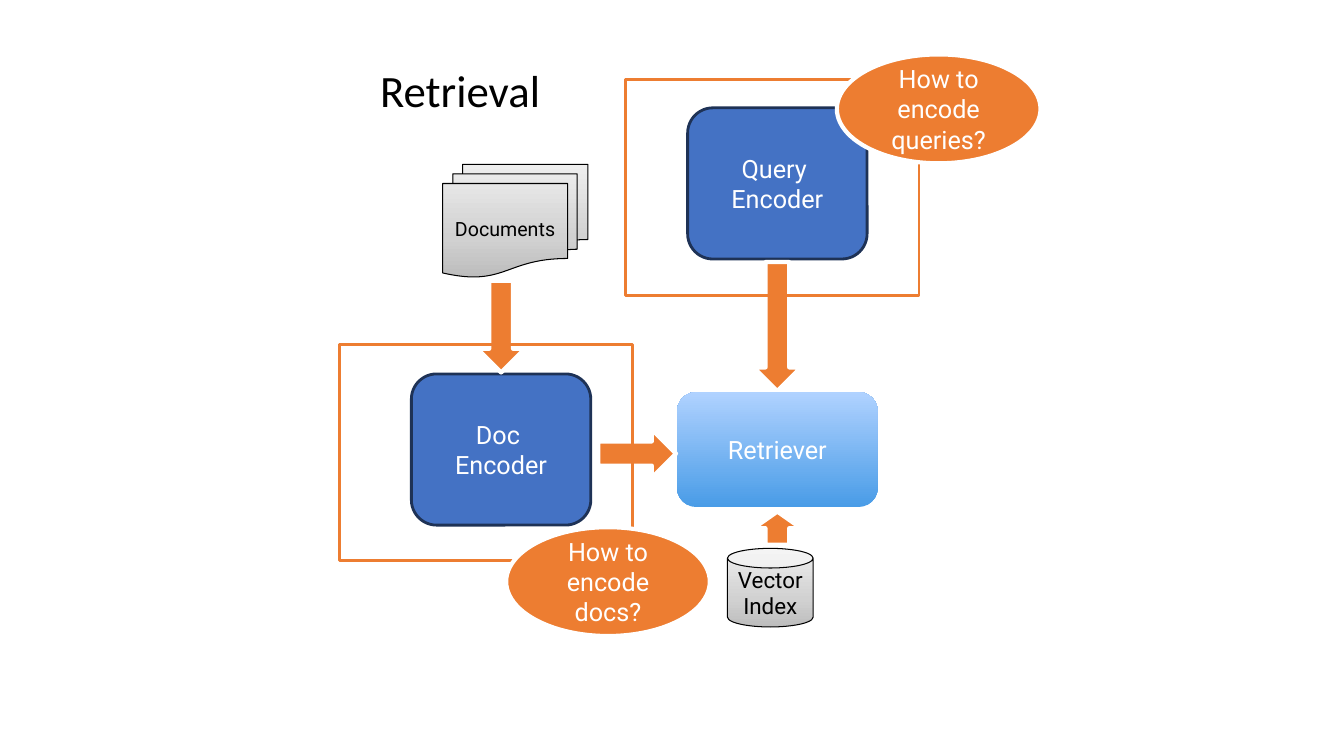
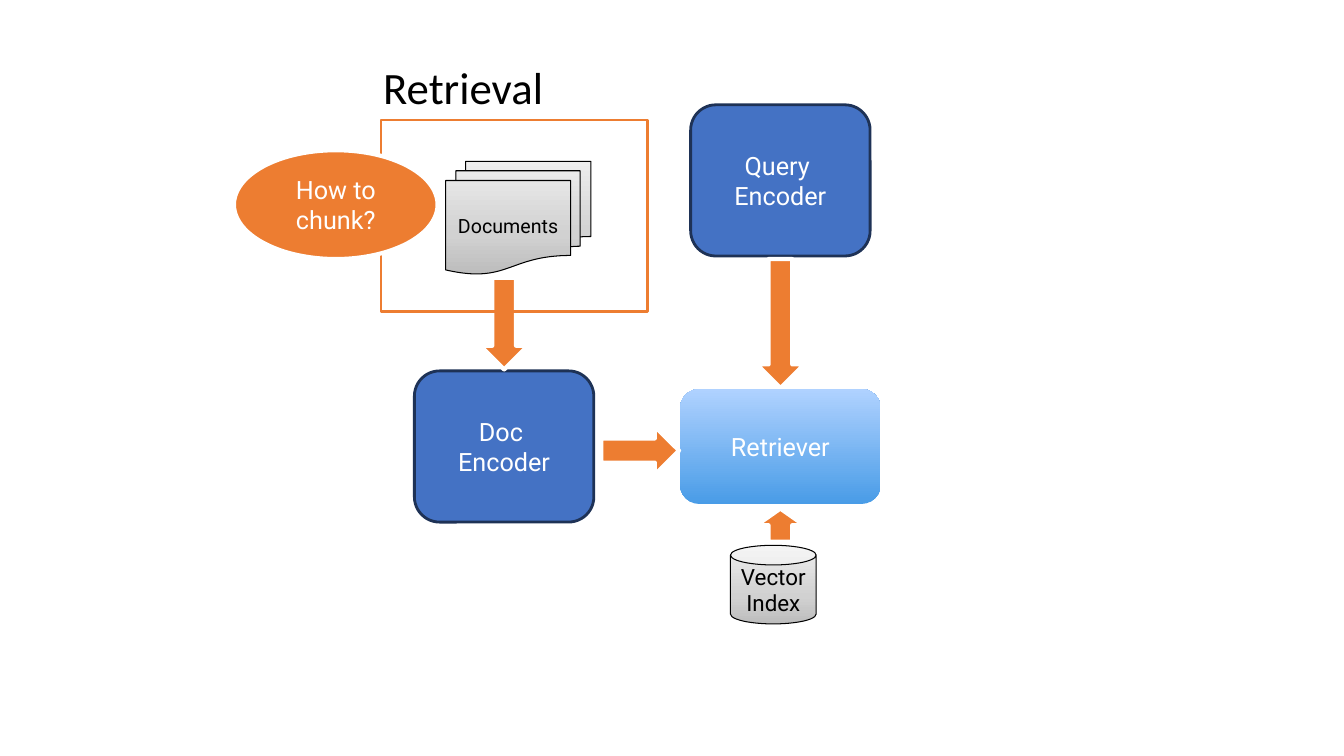
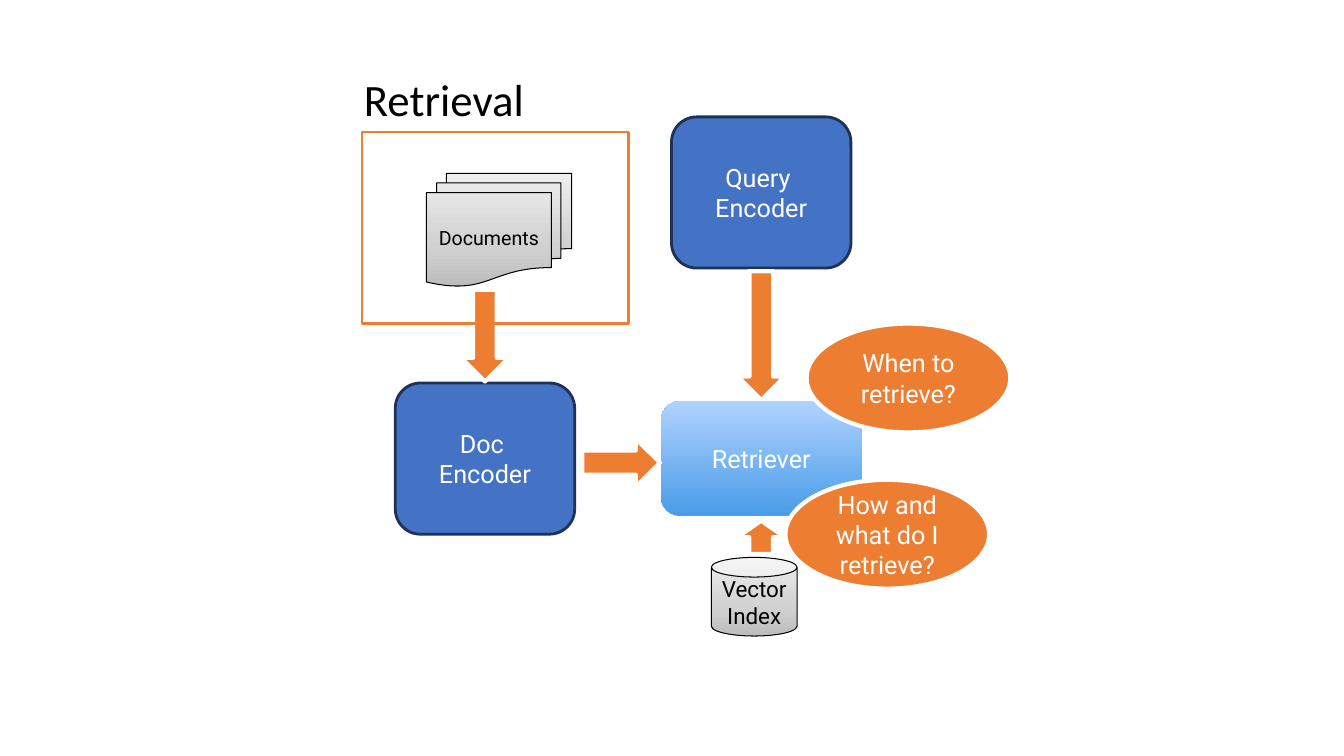
from lxml import etree
from pptx import Presentation, util as u
from pptx.dml.color import RGBColor
from pptx.enum import shapes, text
from pptx.oxml.ns import qn

KIND = shapes.MSO_SHAPE
BLUE, NAVY, ORANGE = "4472C4", "1E3256", "ED7D31"
WHITE, BLACK = "FFFFFF", "000000"
# Gradient stops run from the bottom to the top
GREY = [(0, "BDBDBD"), (35, "D1D1D1"), (100, "EEEEEE")]
SKY = [(0, "499CE7"), (100, "B0D2FF")]

# Shared looks: fill, line colour, line width, text colour, text size
STYLES = {
    "coder": (BLUE, NAVY, 2, WHITE, 18),
    "store": (GREY, BLACK, 0.75, BLACK, 16),
    "paper": (GREY, BLACK, 0.75, BLACK, 14),
    "finder": (SKY, None, 0, WHITE, 18),
    "arrow": (ORANGE, WHITE, 3, WHITE, 18),
    "bubble": (ORANGE, WHITE, 3, WHITE, 18),
    "frame": (None, ORANGE, 2, BLACK, 18),
}

# Grid of part centres, in inches from the corner of the diagram
LEFT, MID, RIGHT = 1.25, 2.6, 3.99
TOP, LOW = 1.25, 3.89
WIDE, SMALL = (2.91, 2.14), (2.64, 1.9)


def color(code):
    return RGBColor.from_string(code)


def blend(shape, stops):
    """Fill a shape with a vertical gradient of any number of stops."""
    shape.fill.gradient()
    shape.fill.gradient_angle = 90
    group = shape._element.spPr.find(qn("a:gradFill")).find(qn("a:gsLst"))
    for old in list(group):
        group.remove(old)
    for pos, code in stops:
        stop = etree.SubElement(group, qn("a:gs"), pos=str(pos * 1000))
        etree.SubElement(stop, qn("a:srgbClr"), val=code)


def write(frame, lines, font, align):
    """Put one paragraph per line into a text frame."""
    frame.text = "\n".join(lines)
    for para in frame.paragraphs:
        para.alignment = align
        para.font.color.rgb = color(font.pop("ink")) if "ink" in font else tint
        tint = para.font.color.rgb
        for key, value in font.items():
            setattr(para.font, key, value)


def part(slide, box, kind, style, mid, size, words=(), turn=0):
    """Draw a styled shape centred on a point of the diagram box."""
    spot = [u.Inches(b + m - s / 2) for b, m, s in zip(box, mid, size)]
    shape = slide.shapes.add_shape(kind, *spot, *map(u.Inches, size))
    shape.shadow.inherit = False
    shape.rotation = turn
    fill, line, width, ink, points = STYLES[style]
    if fill is None:
        shape.fill.background()
    elif isinstance(fill, list):
        blend(shape, fill)
    else:
        shape.fill.solid()
        shape.fill.fore_color.rgb = color(fill)
    if line:
        shape.line.color.rgb = color(line)
        shape.line.width = u.Pt(width)
    else:
        shape.line.fill.background()
    if words:
        shape.text_frame.word_wrap = True
        shape.text_frame.vertical_anchor = text.MSO_ANCHOR.MIDDLE
        font = {"ink": ink, "size": u.Pt(points), "name": "Roboto"}
        write(shape.text_frame, words, font, text.PP_ALIGN.CENTER)


def title(slide, box):
    """Write the heading at the corner of the diagram box."""
    frame = slide.shapes.add_textbox(
        *map(u.Inches, (*box, 1.72, 0.64))).text_frame
    for side in ("left", "right", "top", "bottom"):
        setattr(frame, "margin_" + side, u.Inches(0.05))
    frame.word_wrap = False
    frame.auto_size = text.MSO_AUTO_SIZE.SHAPE_TO_FIT_TEXT
    font = {"ink": BLACK, "size": u.Pt(32), "name": "Calibri"}
    write(frame, ["Retrieval"], font, text.PP_ALIGN.LEFT)


def diagram(slide, box):
    """Draw the retrieval flow that every slide shows."""
    round_, arrow = KIND.ROUNDED_RECTANGLE, KIND.RIGHT_ARROW
    coder = (1.78, 1.5)
    for item in (
        # Encoders and vector store
        (round_, "coder", (RIGHT, TOP), coder, ["Query ", "Encoder"]),
        (round_, "coder", (LEFT, LOW), coder, ["Doc ", "Encoder"]),
        (KIND.CAN, "store", (3.92, 5.26), (0.85, 0.78), ["Vector Index"]),
        # Retriever and the arrows into it
        (arrow, "arrow", (RIGHT, 2.67), (1.28, 0.47), (), 90),
        (round_, "finder", (RIGHT, LOW), (1.99, 1.14), ["Retriever"]),
        (arrow, "arrow", (RIGHT, 4.67), (0.33, 0.47), (), 270),
        (arrow, "arrow", (MID, 3.93), (0.77, 0.48)),
        # Documents and the arrow to their encoder
        (KIND.FLOWCHART_MULTIDOCUMENT, "paper", (1.39, 1.62), (1.44, 1.12),
         ["Documents"]),
        (arrow, "arrow", (LEFT, 2.67), (0.91, 0.47), (), 90),
    ):
        part(slide, box, *item)


def page(deck, box, frames, asks):
    """Build a slide: the flow, then its frames and questions."""
    slide = deck.slides.add_slide(deck.slide_layouts[6])
    diagram(slide, box)
    title(slide, box)
    for mid, size in frames:
        part(slide, box, KIND.RECTANGLE, "frame", mid, size)
    for mid, ask in asks:
        part(slide, box, KIND.OVAL, "bubble", mid, (2.02, 1.08), [ask])


# Diagram corner, framed areas, questions
PAGES = [
    ((3.72, 0.57),
     [((3.94, 1.29), WIDE), ((1.1, 3.92), WIDE)],
     [((5.59, 0.51), "How to encode queries?"),
      ((2.31, 5.2), "How to encode docs?")]),
    ((3.75, 0.54),
     [((1.35, 1.6), SMALL)],
     [((-0.42, 1.49), "How to chunk?")]),
    ((3.56, 0.66),
     [((1.35, 1.6), SMALL)],
     [((5.24, 4.64), "How and what do I retrieve?"),
      ((5.45, 3.09), "When to retrieve?")]),
]


def main():
    deck = Presentation()
    deck.slide_width, deck.slide_height = u.Inches(13.33), u.Inches(7.5)
    for item in PAGES:
        page(deck, *item)
    deck.save("out.pptx")


if __name__ == "__main__":
    main()
